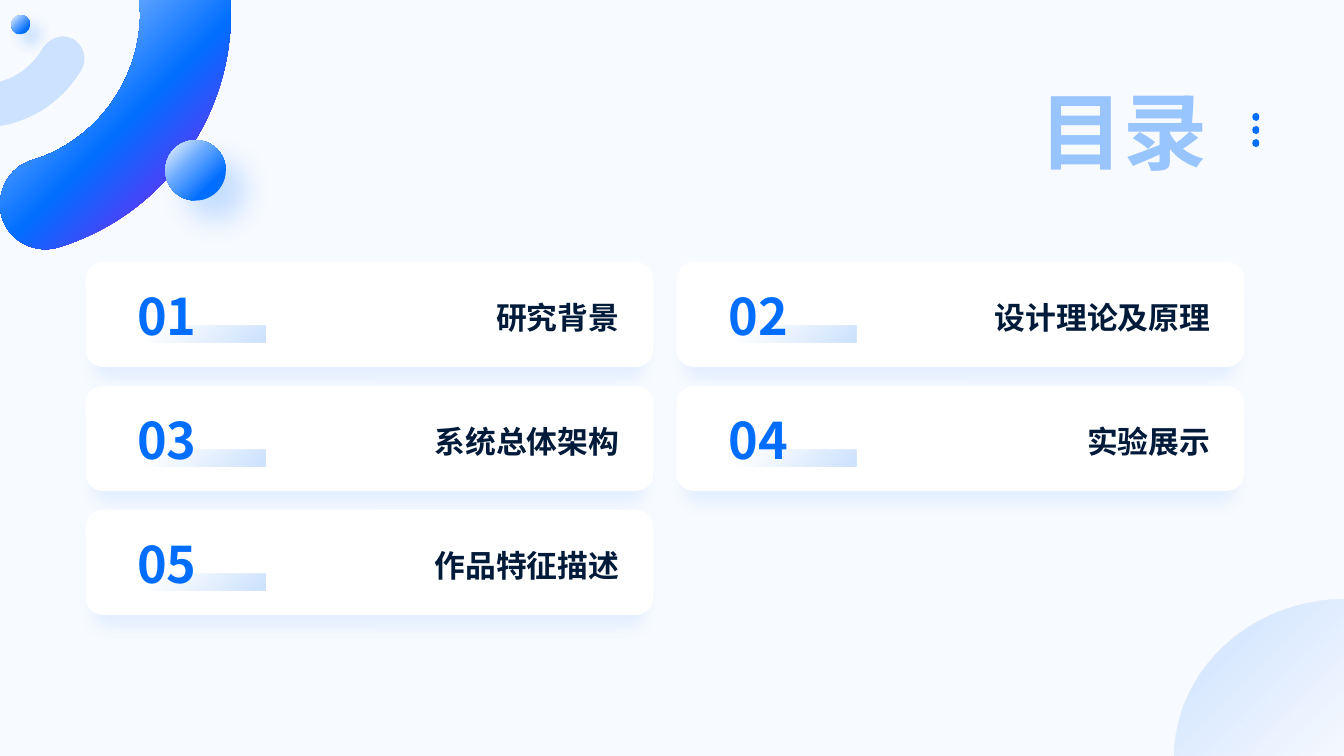
"""Build a contents slide with five numbered cards and soft round decor."""
import pptx
import pptx.dml.color
import pptx.enum.shapes
import pptx.enum.text
import pptx.oxml
import pptx.oxml.ns
import pptx.util

Inches, Pt = pptx.util.Inches, pptx.util.Pt
hue = pptx.dml.color.RGBColor.from_string
qn, ns = pptx.oxml.ns.qn, pptx.oxml.ns.nsdecls("a")
Shape = pptx.enum.shapes.MSO_SHAPE
Align = pptx.enum.text.PP_ALIGN
Anchor = pptx.enum.text.MSO_ANCHOR


def paint(shape, fill, shade=None):
    """Fill with a hex colour or (place, hex, alpha) stops; add a shadow."""
    shape.line.fill.background()
    shape.shadow.inherit = False
    props = shape._element.spPr
    if isinstance(fill, str):
        shape.fill.solid()
        shape.fill.fore_color.rgb = hue(fill)
    else:
        shape.fill.background()
        stops = "".join(
            f'<a:gs pos="{at * 1000}"><a:srgbClr val="{tone}">'
            f'<a:alpha val="{alpha * 1000}"/></a:srgbClr></a:gs>'
            for at, tone, alpha in fill)
        grad = pptx.oxml.parse_xml(
            f'<a:gradFill {ns}><a:gsLst>{stops}</a:gsLst><a:path path="circle">'
            '<a:fillToRect r="100000" b="100000"/></a:path></a:gradFill>')
        props.replace(props.find(qn("a:noFill")), grad)
    if shade:
        tone, size, turn, scale = shade
        props.find(qn("a:effectLst")).append(pptx.oxml.parse_xml(
            f'<a:outerShdw {ns} blurRad="{Pt(size)}" dist="{Pt(size)}" '
            f'dir="{turn * 60000}" sx="{scale * 1000}" algn="tl" rotWithShape="0">'
            f'<a:srgbClr val="{tone}"><a:alpha val="20000"/></a:srgbClr></a:outerShdw>'))


def trace(box, *loops):
    """Draw closed loops of line ends (x, y) and six-number Bezier curves."""
    left, top, width, height = map(Inches, box)
    pen = shapes.build_freeform(left, top)
    body = ""
    for loop in loops:
        pen.add_line_segments([(Inches(s[-2]), Inches(s[-1])) for s in loop])
        for index, step in enumerate(loop):
            tag = "cubicBezTo" if len(step) == 6 else "lnTo" if index else "moveTo"
            dots = "".join(f'<a:pt x="{Inches(x) - left}" y="{Inches(y) - top}"/>'
                           for x, y in zip(step[::2], step[1::2]))
            body += f"<a:{tag}>{dots}</a:{tag}>"
        body += "<a:close/>"
    shape = pen.convert_to_shape()
    shape.left, shape.top, shape.width, shape.height = left, top, width, height
    track = next(shape._element.iter(qn("a:path")))
    track.getparent().replace(track, pptx.oxml.parse_xml(
        f'<a:path {ns} w="{width}" h="{height}">{body}</a:path>'))
    return shape


deck = pptx.Presentation()
deck.slide_width, deck.slide_height = Inches(13.33), Inches(7.5)
slide = deck.slides.add_slide(deck.slide_layouts[5])
shapes = slide.shapes

back = shapes.add_shape(Shape.RECTANGLE, 0, 0, deck.slide_width, deck.slide_height)
paint(back, "F7FAFF")

corner = trace((11.65, 5.95, 1.68, 1.55),
               [(11.65, 7.5), (13.33, 7.5), (13.33, 5.95), (13.25, 5.95),
                (12.39, 5.99, 11.7, 6.63, 11.65, 7.43)])
paint(corner, [(14, "016EFF", 15), (100, "016EFF", 0)])

dots = trace((12.42, 1.12, 0.08, 0.33), *[
    [(12.46, y), (12.48, y, 12.49, y + 0.02, 12.49, y + 0.04),
     (12.49, y + 0.06, 12.48, y + 0.08, 12.46, y + 0.08),
     (12.43, y + 0.08, 12.42, y + 0.06, 12.42, y + 0.04),
     (12.42, y + 0.02, 12.43, y, 12.46, y)] for y in (1.38, 1.25, 1.12)])
paint(dots, "016EFF")

ring = trace((0, 0, 2.29, 2.47),
             [(2.29, 0), (1.38, 0), (1.38, 0, 1.39, 0.13, 1.39, 0.13),
              (1.39, 0.78, 0.97, 1.39, 0.32, 1.59),
              (0.08, 1.66, -0.05, 1.92, 0.02, 2.16),
              (0.09, 2.39, 0.35, 2.53, 0.59, 2.45),
              (1.2, 2.26, 1.71, 1.84, 2.01, 1.26),
              (2.2, 0.9, 2.29, 0.51, 2.29, 0.12), (2.29, 0)])
paint(ring, [(13, "99C5FF", 100), (52, "016EFF", 100), (93, "9618F4", 100)])

arc = trace((0, 0.36, 0.84, 0.89),
            [(0.61, 0.36), (0.65, 0.36, 0.69, 0.37, 0.73, 0.39),
             (0.83, 0.45, 0.87, 0.59, 0.81, 0.69),
             (0.65, 0.96, 0.4, 1.15, 0.1, 1.23), (0, 1.25), (0, 0.81), (0.09, 0.78),
             (0.23, 0.72, 0.35, 0.61, 0.43, 0.47),
             (0.47, 0.41, 0.54, 0.37, 0.61, 0.36)])
paint(arc, "CCE2FF")

for left, top, size, blur in [(0.11, 0.15, 0.19, 10), (1.64, 1.39, 0.6, 20)]:
    ball = shapes.add_shape(Shape.OVAL, Inches(left), Inches(top),
                            Inches(size), Inches(size))
    paint(ball, [(12, "CCE2FF", 100), (40, "67A8FF", 100), (75, "016EFF", 100)],
          ("016EFF", blur, 45, 100))

title = shapes.title
shapes._spTree.append(title._element)
place = {"left": 10.15, "top": 0.6, "width": 1.98, "height": 1.38}
for key, value in place.items():
    setattr(title, key, Inches(value))
frame = title.text_frame
frame.text = "目录"
look = {"margin_left": 0, "margin_right": 0, "margin_top": 0, "margin_bottom": 0,
        "vertical_anchor": Anchor.MIDDLE, "word_wrap": True}
for key, value in look.items():
    setattr(frame, key, value)
frame.paragraphs[0].alignment = Align.CENTER
font = frame.paragraphs[0].runs[0].font
for key, value in {"size": Pt(60), "bold": True, "name": "Arial"}.items():
    setattr(font, key, value)
font.fill.gradient()
font.fill.gradient_angle = 315
for stop, at, tone in zip(font.fill.gradient_stops, (0, 0.62), ("99C5FF", "016EFF")):
    stop.position = at
    stop.color.rgb = hue(tone)

topics = ["研究背景", "设计理论及原理", "系统总体架构", "实验展示", "作品特征描述"]
face = "Noto Sans CJK SC"
for index, topic in enumerate(topics):
    row, col = divmod(index, 2)
    left, top = 0.85 + 5.86 * col, 2.6 + 1.23 * row
    card = shapes.add_shape(Shape.ROUNDED_RECTANGLE, Inches(left), Inches(top),
                            Inches(5.63), Inches(1.04))
    card.adjustments[0] = 0.163
    paint(card, "FFFFFF", ("99C5FF", 10, 60, 97))
    label, number = [
        shapes.add_textbox(Inches(left + dx), Inches(top + dy), Inches(width), Inches(height))
        for dx, dy, width, height in [(1.61, 0.31, 3.78, 0.47),
                                      (0.39 + 0.01 * col, 0.18, 0.83, 0.71)]]
    bar = shapes.add_shape(Shape.RECTANGLE, Inches(left + 0.35), Inches(top + 0.63),
                           Inches(1.43), Inches(0.17))
    bar._element.spPr.xfrm.set("flipH", "1")
    paint(bar, [(23, "CCE2FF", 0), (100, "CCE2FF", 100)])
    shapes._spTree.append(number._element)
    for box, text, size, tone, align, wrap in [
            (label, topic, 22, "001A3A", Align.RIGHT, True),
            (number, f"{index + 1:02}", 36, "016EFF", Align.CENTER, False)]:
        box.text_frame.word_wrap = wrap
        para = box.text_frame.paragraphs[0]
        para.alignment = align
        run = para.add_run()
        run.text = text
        for key, value in {"size": Pt(size), "bold": True, "name": face}.items():
            setattr(run.font, key, value)
        run.font.color.rgb = hue(tone)
        run._r.get_or_add_rPr().append(
            pptx.oxml.parse_xml(f'<a:ea {ns} typeface="{face}"/>'))

deck.save("out.pptx")
